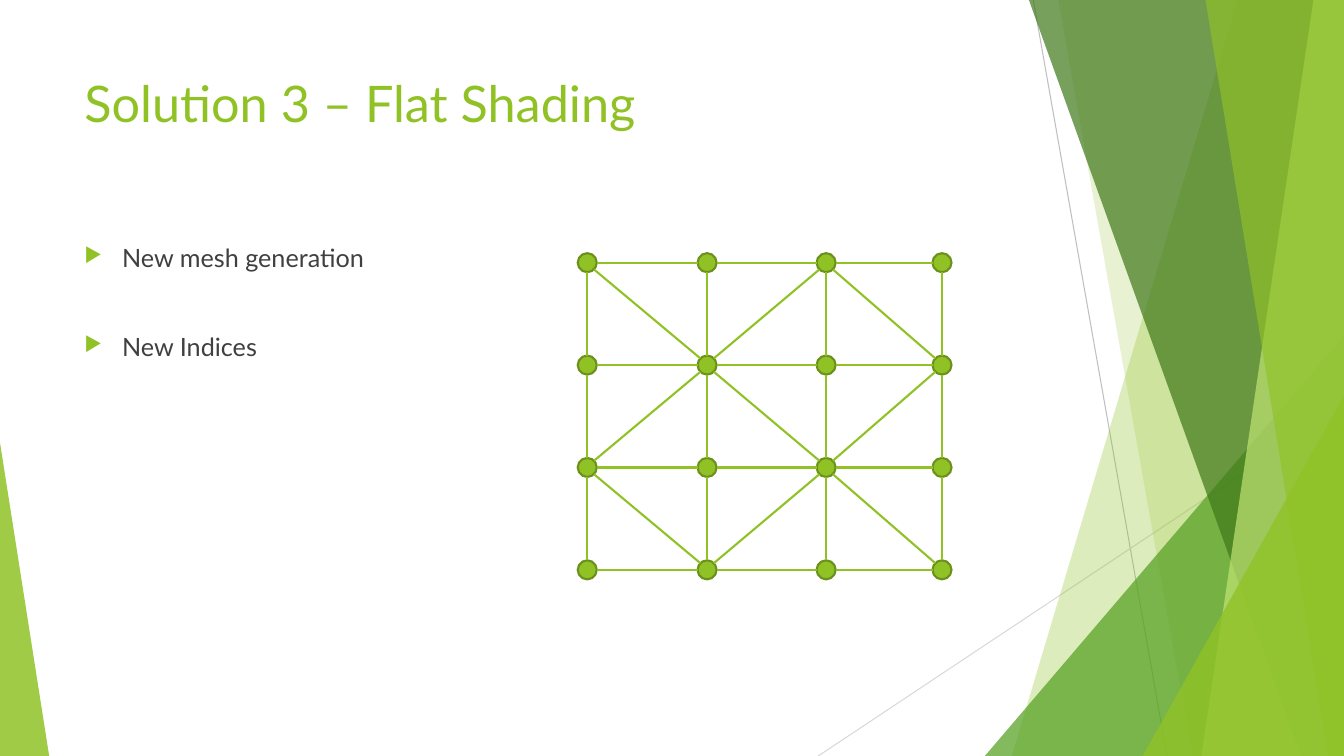
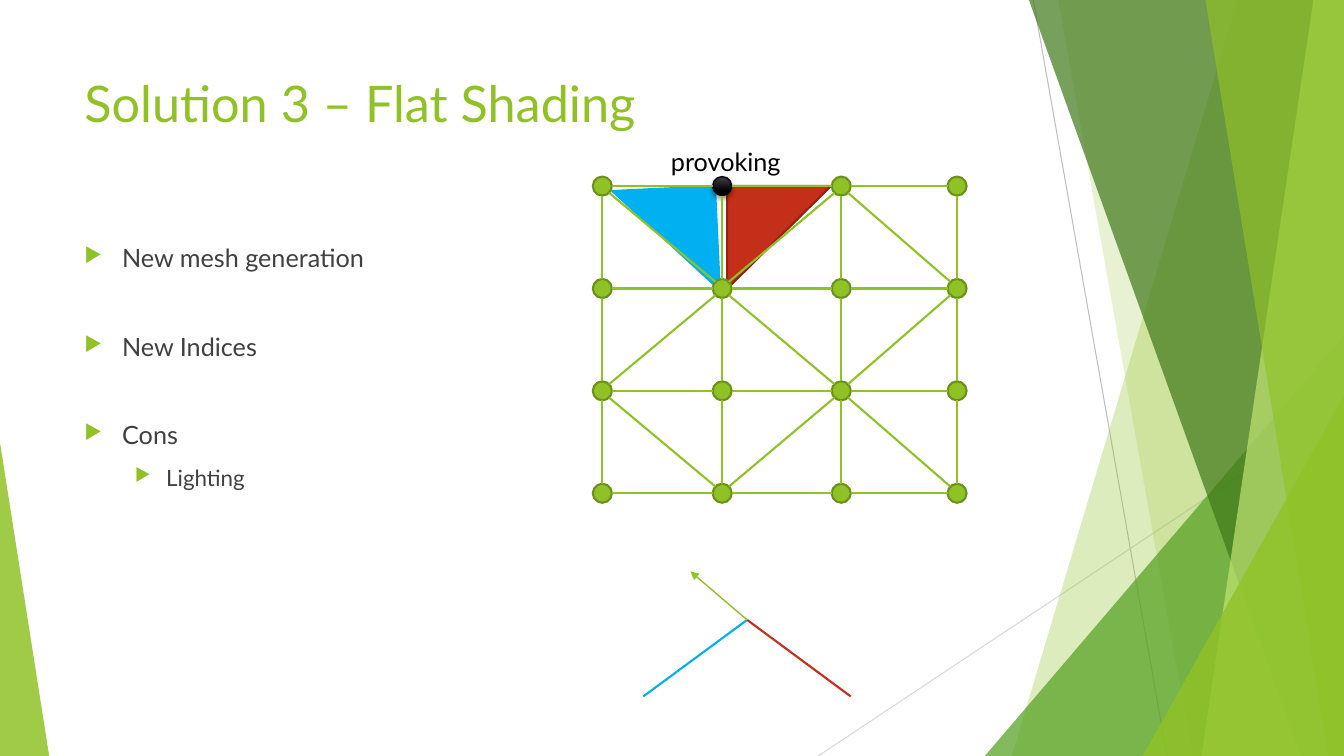
from dataclasses import dataclass
from itertools import product

from lxml.etree import SubElement
from pptx import Presentation
from pptx.dml.color import RGBColor
from pptx.enum.shapes import MSO_CONNECTOR as Link, MSO_SHAPE as Preset
from pptx.oxml.ns import qn
from pptx.util import Cm, Pt


@dataclass(frozen=True)
class Theme:
    """Colours, type sizes and line widths of the deck."""
    font: str = "Lato"
    lime: str = "90C226"
    rim: str = "6B901C"
    leaf: str = "54A021"
    forest: str = "3F7819"
    pale: str = "C0E474"
    text: str = "404040"
    black: str = "000000"
    charcoal: str = "3F3F3F"
    blue: str = "00B0F0"
    red: str = "C42F1A"
    dark_red: str = "912313"
    grey: str = "BFBFBF"
    light_grey: str = "D9D9D9"
    title_size: float = 36
    body_sizes: tuple = (18, 16)
    stroke: float = 1.5
    thin: float = 1
    hairline: float = 0.75


THEME = Theme()
WIDTH, HEIGHT = 33.87, 19.05
COLUMNS = (0, 3.02, 6.02, 8.94)
ROW_PITCH = 2.58
ROWS = 4
NODE = 0.48
# Per bullet level: left margin, hanging indent (cm), space before (pt)
LEVELS = ((0.95, -0.95, 41.6), (2.06, -0.79, 10))


def apply(target, values):
    """Set every attribute named in a dict of format values."""
    for name, value in values.items():
        setattr(target, name, value)


def add_xml(parent, tag, **values):
    """Append one DrawingML element and return it."""
    return SubElement(parent, qn(tag), {k: str(v) for k, v in values.items()})


class Painter:
    """Holds the theme and the current page, and draws elements on it."""

    def __init__(self, deck, theme):
        """Keep the deck and its theme."""
        self.deck, self.theme, self.page = deck, theme, None

    def new_page(self, title):
        """Start a blank page with the shared backdrop and title."""
        self.page = self.deck.slides.add_slide(self.deck.slide_layouts[6])
        self.backdrop()
        self.label(title, (1.88, 1.7, 23.88, 3.66),
                   self.theme.title_size, self.theme.lime)

    def paint(self, shape, fill, line=None, alpha=100, width=None):
        """Give a shape its fill, opacity and outline, without a shadow."""
        shape.shadow.inherit = False
        shape.fill.solid()
        shape.fill.fore_color.rgb = RGBColor.from_string(fill)
        if alpha < 100:
            colour = shape._element.spPr.find(".//" + qn("a:srgbClr"))
            add_xml(colour, "a:alpha", val=alpha * 1000)
        if line:
            shape.line.color.rgb = RGBColor.from_string(line)
            shape.line.width = Pt(width or self.theme.stroke)
        else:
            shape.line.fill.background()
        return shape

    def shape(self, preset, box, fill, line=None, alpha=100, turn=0,
              peak=None, width=None):
        """Draw a preset shape."""
        shape = self.page.shapes.add_shape(preset, *map(Cm, box))
        shape.rotation = turn
        if peak is not None:
            shape.adjustments[0] = peak
        return self.paint(shape, fill, line, alpha, width)

    def band(self, top, bottom, fill, alpha):
        """Draw a full-height band with a slanted left edge."""
        builder = self.page.shapes.build_freeform(Cm(top), 0)
        builder.add_line_segments(
            [(Cm(x), Cm(y)) for x, y in
             ((WIDTH, 0), (WIDTH, HEIGHT), (bottom, HEIGHT))], close=True)
        self.paint(builder.convert_to_shape(), fill, alpha=alpha)

    def line(self, start, end, colour, width=None, arrow=False):
        """Draw a straight line, with an arrowhead at its end if asked."""
        line = self.page.shapes.add_connector(
            Link.STRAIGHT, *map(Cm, (*start, *end)))
        line.line.color.rgb = RGBColor.from_string(colour)
        line.line.width = Pt(width or self.theme.stroke)
        if arrow:
            add_xml(line._element.spPr.find(qn("a:ln")), "a:tailEnd",
                    type="triangle")
        add_xml(line._element.spPr, "a:effectLst")

    def add_span(self, para, text, size, colour):
        """Add one styled span to a paragraph."""
        span = para.add_run()
        span.text = text
        apply(span.font, {"name": self.theme.font, "size": Pt(size)})
        span.font.color.rgb = RGBColor.from_string(colour)

    def label(self, text, box, size, colour, wrap=True):
        """Place a single line of text."""
        frame = self.page.shapes.add_textbox(*map(Cm, box)).text_frame
        frame.word_wrap = wrap
        self.add_span(frame.paragraphs[0], text, size, colour)

    def bullets(self, items):
        """Place the bullet list from (level, text) pairs."""
        box = (1.88, 5.99, 12.29, 10.77)
        frame = self.page.shapes.add_textbox(*map(Cm, box)).text_frame
        frame.word_wrap = True
        for index, (level, text) in enumerate(items):
            para = frame.add_paragraph() if index else frame.paragraphs[0]
            margin, indent, gap = LEVELS[level]
            apply(para, {"level": level, "space_before": Pt(gap if index else 0)})
            props = para._p.get_or_add_pPr()
            props.set("marL", str(Cm(margin)))
            props.set("indent", str(Cm(indent)))
            add_xml(add_xml(props, "a:buClr"), "a:srgbClr", val=self.theme.lime)
            add_xml(props, "a:buSzPct", val=80000)
            add_xml(props, "a:buChar", char="▶")
            self.add_span(para, text, self.theme.body_sizes[level], self.theme.text)

    def backdrop(self):
        """Draw the translucent green facets shared by all pages."""
        look = self.theme
        self.line((26.04, 0), (29.41, HEIGHT), look.grey, look.hairline)
        self.line((WIDTH, 10.24), (20.62, HEIGHT), look.light_grey, look.hairline)
        self.band(31.19, 25.5, look.lime, 30)
        self.band(26.67, 30.05, look.lime, 20)
        self.facet(24.82, 8.46, 9.05, look.leaf, 72)
        self.band(25.93, 32.79, look.forest, 70)
        self.band(33.1, 30.28, look.pale, 70)
        self.band(30.38, 33.48, look.lime, 65)
        self.facet(28.8, 9.98, 5.07, look.lime, 80)
        self.facet(0, 11.15, 1.24, look.lime, 85, peak=0)

    def facet(self, left, top, width, fill, alpha, peak=1):
        """Draw a triangle that stands on the bottom edge."""
        self.shape(Preset.ISOSCELES_TRIANGLE, (left, top, width, HEIGHT - top),
                   fill, alpha=alpha, peak=peak)

    def node(self, centre, provoking=False):
        """Draw a mesh vertex; the provoking one is black and shaded."""
        look = self.theme
        box = (*(value - NODE / 2 for value in centre), NODE, NODE)
        if not provoking:
            self.shape(Preset.OVAL, box, look.lime, look.rim)
            return
        dot = self.shape(Preset.OVAL, box, look.black, look.black, width=look.thin)
        dot.fill.gradient()
        dot.fill.gradient_angle = 270
        shades = ((0, look.charcoal), (0.78, look.black))
        for stop, (position, colour) in zip(dot.fill.gradient_stops, shades):
            stop.position = position
            stop.color.rgb = RGBColor.from_string(colour)
        effects = dot._element.spPr.find(qn("a:effectLst"))
        shadow = add_xml(effects, "a:outerShdw", blurRad=Pt(3), dist=Pt(2),
                         dir=5400000, rotWithShape=0)
        colour = add_xml(shadow, "a:srgbClr", val=look.black)
        add_xml(colour, "a:alpha", val=35000)

    def edge(self, start, end):
        """Join two vertices from rim to rim."""
        signs = [(b > a) - (b < a) for a, b in zip(start, end)]
        inset = 0.17 if all(signs) else NODE / 2
        self.line([a + s * inset for a, s in zip(start, signs)],
                  [b - s * inset for b, s in zip(end, signs)], self.theme.lime)

    def mesh(self, left, top, provoking=None):
        """Draw the vertex grid with diagonals that alternate per cell."""
        spots = {(col, row): (left + x, top + row * ROW_PITCH)
                 for (col, x), row in product(enumerate(COLUMNS), range(ROWS))}
        for key, centre in spots.items():
            self.node(centre, key == provoking)
        for col, row in spots:
            right, below, corner = (col + 1, row), (col, row + 1), (col + 1, row + 1)
            falling = (col + row) % 2 == 0
            diagonal = ((col, row), corner) if falling else (right, below)
            pairs = [((col, row), right), ((col, row), below)]
            if corner in spots:
                pairs.append(diagonal)
            for start, end in pairs:
                if end in spots:
                    self.edge(spots[start], spots[end])


def mesh_page(painter):
    """Show the new mesh and its indices."""
    painter.new_page("Solution 3 – Flat Shading")
    painter.bullets([(0, "New mesh generation"), (0, "New Indices")])
    painter.mesh(14.8, 6.62)


def lighting_page(painter):
    """Show two triangles that share a provoking vertex and its normal."""
    look = painter.theme
    painter.new_page("Solution 3 – Flat Shading")
    painter.shape(Preset.RIGHT_TRIANGLE, (15.49, 4.75, 2.59, 2.62),
                  look.blue, look.blue, turn=177.3)
    painter.shape(Preset.RIGHT_TRIANGLE, (18.34, 4.67, 2.59, 2.62),
                  look.red, look.dark_red, turn=90)
    painter.bullets([(0, "New mesh generation"), (0, "New Indices"),
                     (0, "Cons"), (1, "Lighting")])
    painter.mesh(15.18, 4.69, provoking=(1, 0))
    ridge = (18.83, 15.62)
    painter.line(ridge, (16.21, 17.55), look.blue)
    painter.line(ridge, (21.44, 17.55), look.red)
    painter.line(ridge, (17.4, 14.4), look.lime, look.thin, arrow=True)
    painter.label("provoking", (16.66, 3.56, 3.3, 1.02),
                  look.body_sizes[0], look.black, wrap=False)


def main():
    """Build and save the deck."""
    deck = Presentation()
    apply(deck, {"slide_width": Cm(WIDTH), "slide_height": Cm(HEIGHT)})
    painter = Painter(deck, THEME)
    mesh_page(painter)
    lighting_page(painter)
    deck.save("out.pptx")


main()
